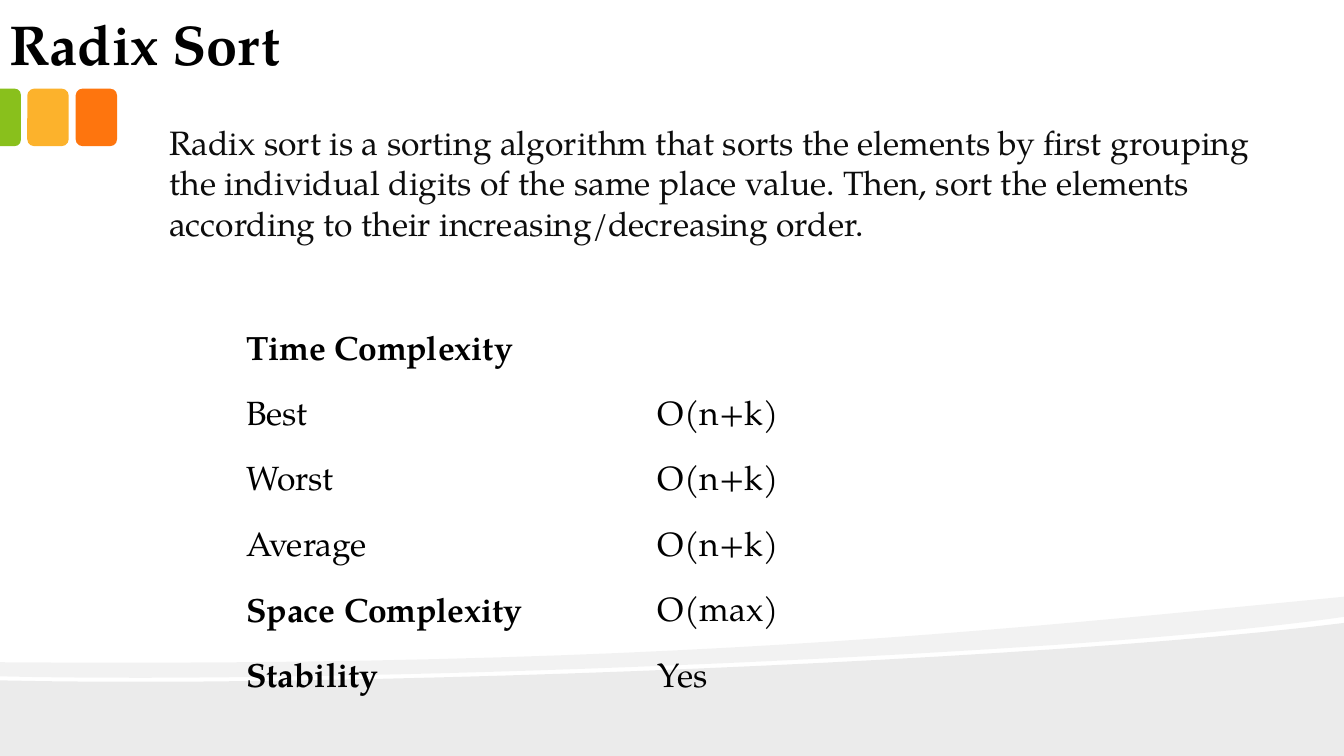
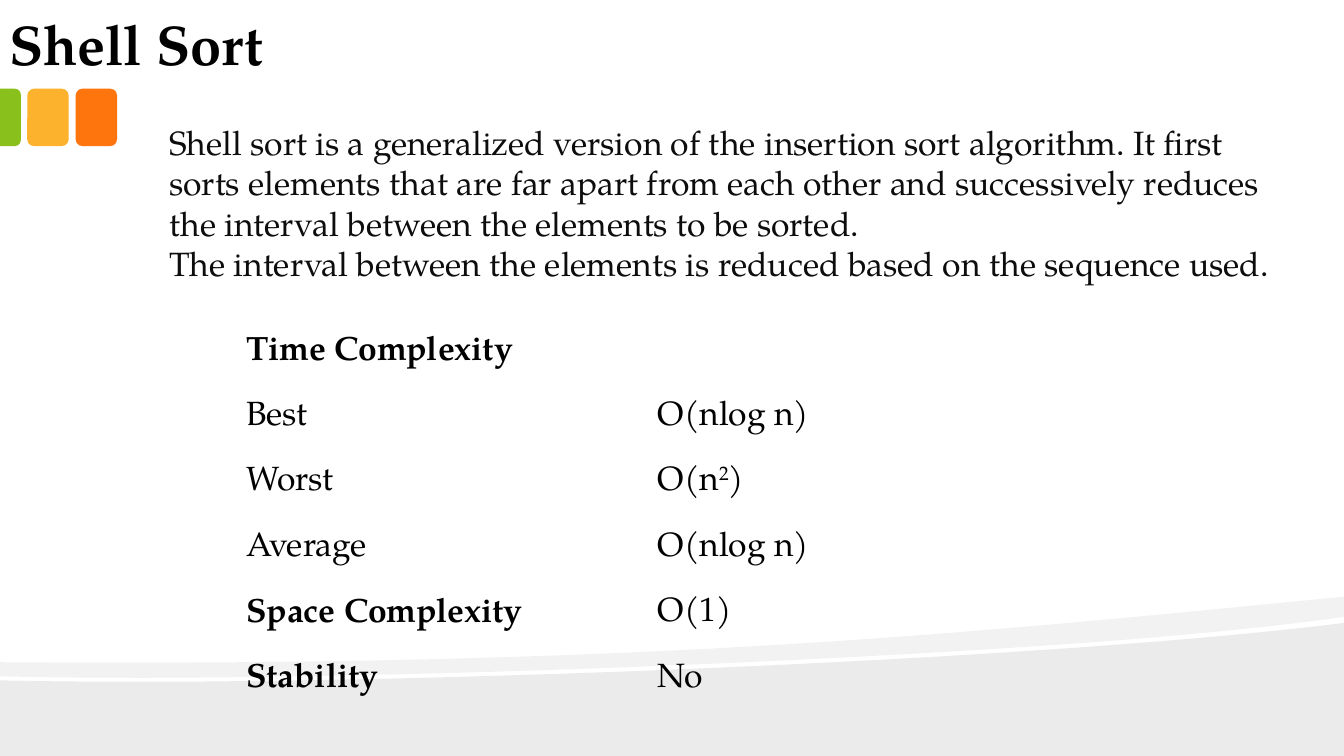
from dataclasses import dataclass

import pptx
import pptx.dml.color
import pptx.enum.shapes
import pptx.enum.text
import pptx.oxml.ns
import pptx.util

RGBColor = pptx.dml.color.RGBColor
MSO_SHAPE = pptx.enum.shapes.MSO_SHAPE
MSO_ANCHOR = pptx.enum.text.MSO_ANCHOR
qn = pptx.oxml.ns.qn
Inches = pptx.util.Inches

WIDTH, HEIGHT = Inches(13.33), Inches(7.5)
FONT = "TeX Gyre Pagella"
BLACK = RGBColor(0x00, 0x00, 0x00)
BODY_INK = RGBColor(0x0D, 0x0D, 0x0D)
ORANGE = RGBColor(0xFE, 0x75, 0x0E)
YELLOW = RGBColor(0xFC, 0xB2, 0x2C)
GREEN = RGBColor(0x89, 0xC0, 0x1C)
NO_STYLE_NO_GRID = "{2D5ABB26-0587-4C30-8999-92F81FD0307C}"
CURVE_STEPS = 24


@dataclass(frozen=True)
class Box:
    """A rectangle in percent of the slide's width and height."""
    x: float
    y: float
    w: float
    h: float

    def emu(self) -> tuple[int, int, int, int]:
        return across(self.x), down(self.y), across(self.w), down(self.h)


@dataclass(frozen=True)
class Run:
    text: str
    bold: bool = False
    superscript: bool = False


@dataclass(frozen=True)
class Wave:
    """An outline in percent: one point is a line, three are a Bezier curve."""
    opacity: int
    start: tuple[float, float]
    segments: tuple[tuple[tuple[float, float], ...], ...]


@dataclass(frozen=True)
class Algorithm:
    title: str
    paragraphs: tuple[str, ...]
    body_height: float
    values: tuple[tuple[Run, ...], ...]


TITLE = Box(-0.3, 0, 77.8, 11.07)
BODY_X, BODY_Y, BODY_W = 11.85, 15.47, 83.57
TABLE_X, TABLE_Y, TABLE_W, ROW_H = 16.43, 42.27, 61.29, 8.67
TILE = Box(2.03, 11.73, 3.08, 7.6)
TILE_PITCH = 3.6
CUT_TILE = Box(0, TILE.y, 1.55, TILE.h)

WAVES = (
    Wave(8, (100, 82.4), (
        ((100, 100),),
        ((0, 100),),
        ((0, 90),),
        ((26.4, 91.07), (78.17, 87.33), (100, 82.4)),
    )),
    Wave(5, (100, 78.93), (
        ((100, 81.6),),
        ((94.15, 83.07), (86.2, 84.4), (77.19, 85.47)),
        ((52.36, 88.4), (19.35, 90.27), (0, 89.47)),
        ((0, 87.6),),
        ((48.91, 88.27), (72.84, 83.6), (100, 78.93)),
    )),
)

LABELS = (
    Run("Time Complexity", bold=True),
    Run("Best"),
    Run("Worst"),
    Run("Average"),
    Run("Space Complexity", bold=True),
    Run("Stability", bold=True),
)

ALGORITHMS = (
    Algorithm(
        "Radix Sort",
        ("Radix sort is a sorting algorithm that sorts the elements by first "
         "grouping the individual digits of the same place value. Then, sort "
         "the elements according to their increasing/decreasing order.",),
        28.27,
        ((), (Run("O(n+k)"),), (Run("O(n+k)"),), (Run("O(n+k)"),),
         (Run("O(max)"),), (Run("Yes"),)),
    ),
    Algorithm(
        "Shell Sort",
        ("Shell sort is a generalized version of the insertion sort algorithm. "
         "It first sorts elements that are far apart from each other and "
         "successively reduces the interval between the elements to be sorted.",
         "The interval between the elements is reduced based on the sequence used."),
        22.93,
        ((), (Run("O(nlog n)"),),
         (Run("O(n"), Run("2", superscript=True), Run(")")),
         (Run("O(nlog n)"),), (Run("O(1)"),), (Run("No"),)),
    ),
)


def across(percent: float) -> int:
    return round(WIDTH * percent / 100)


def down(percent: float) -> int:
    return round(HEIGHT * percent / 100)


def add_runs(p, runs: tuple[Run, ...], size: float, color: RGBColor) -> None:
    for run in runs:
        r = p.add_run()
        r.text = run.text
        r.font.name, r.font.size = FONT, pptx.util.Pt(size)
        r.font.bold = run.bold
        r.font.color.rgb = color
        if run.superscript:
            r.font._element.set("baseline", "30000")


def paint(sp, color: RGBColor) -> None:
    sp.shadow.inherit = False
    sp.fill.solid()
    sp.fill.fore_color.rgb = color
    sp.line.fill.background()


def curve_points(start, c1, c2, end) -> list[tuple[float, float]]:
    points = []
    for step in range(1, CURVE_STEPS + 1):
        t = step / CURVE_STEPS
        weights = ((1 - t) ** 3, 3 * t * (1 - t) ** 2, 3 * t * t * (1 - t), t ** 3)
        points.append(tuple(
            sum(k * q[axis] for k, q in zip(weights, (start, c1, c2, end)))
            for axis in (0, 1)))
    return points


def add_wave(s, wave: Wave) -> None:
    points = [wave.start]
    for segment in wave.segments:
        points += curve_points(points[-1], *segment) if len(segment) == 3 else segment
    outline = [(across(x), down(y)) for x, y in points]
    builder = s.shapes.build_freeform(*outline[0])
    builder.add_line_segments(outline[1:], close=True)
    sp = builder.convert_to_shape()
    paint(sp, BLACK)
    color = sp._element.spPr.find(".//" + qn("a:srgbClr"))
    alpha = color.makeelement(qn("a:alpha"), {"val": str(wave.opacity * 1000)})
    color.append(alpha)


def add_tiles(s) -> None:
    for column, color in ((1, ORANGE), (0, YELLOW)):
        box = Box(TILE.x + column * TILE_PITCH, TILE.y, TILE.w, TILE.h)
        paint(s.shapes.add_shape(MSO_SHAPE.ROUNDED_RECTANGLE, *box.emu()), color)
    x, y, w, h = CUT_TILE.emu()
    # A quarter turn swaps the sides around the same centre.
    sp = s.shapes.add_shape(MSO_SHAPE.ROUND_2_SAME_RECTANGLE,
                            x + (w - h) // 2, y + (h - w) // 2, h, w)
    sp.rotation = 90
    sp.adjustments[0], sp.adjustments[1] = 0.29, 0
    paint(sp, GREEN)


def add_title(s, title: str) -> None:
    tf = s.shapes.add_textbox(*TITLE.emu()).text_frame
    tf.word_wrap = True
    tf.vertical_anchor = MSO_ANCHOR.BOTTOM
    tf.margin_left = tf.margin_right = Inches(0.13)
    tf.margin_top = tf.margin_bottom = Inches(0.07)
    add_runs(tf.paragraphs[0], (Run(title, bold=True),), 40, BLACK)


def add_body(s, paragraphs: tuple[str, ...], height: float) -> None:
    tf = s.shapes.add_textbox(*Box(BODY_X, BODY_Y, BODY_W, height).emu()).text_frame
    tf.word_wrap = True
    for i, text in enumerate(paragraphs):
        p = tf.add_paragraph() if i else tf.paragraphs[0]
        add_runs(p, (Run(text),), 24, BODY_INK)


def add_complexity_table(s, values: tuple[tuple[Run, ...], ...]) -> None:
    rows = len(LABELS)
    box = Box(TABLE_X, TABLE_Y, TABLE_W, rows * ROW_H)
    table = s.shapes.add_table(rows, 2, *box.emu()).table
    table.first_row = table.horz_banding = False
    table._tbl.tblPr.find(qn("a:tableStyleId")).text = NO_STYLE_NO_GRID
    for row, (label, value) in enumerate(zip(LABELS, values)):
        table.rows[row].height = down(ROW_H)
        for column, runs in enumerate(((label,), value)):
            cell = table.cell(row, column)
            cell.fill.background()
            cell.vertical_anchor = MSO_ANCHOR.MIDDLE
            cell.margin_left = cell.margin_right = Inches(0.25)
            cell.margin_top = cell.margin_bottom = Inches(0.12)
            add_runs(cell.text_frame.paragraphs[0], runs, 24, BLACK)


def add_algorithm_slide(prs, algorithm: Algorithm) -> None:
    s = prs.slides.add_slide(prs.slide_layouts[6])
    for wave in WAVES:
        add_wave(s, wave)
    add_tiles(s)
    add_title(s, algorithm.title)
    add_body(s, algorithm.paragraphs, algorithm.body_height)
    add_complexity_table(s, algorithm.values)


def main() -> None:
    prs = pptx.Presentation()
    prs.slide_width, prs.slide_height = WIDTH, HEIGHT
    for algorithm in ALGORITHMS:
        add_algorithm_slide(prs, algorithm)
    prs.save("out.pptx")


if __name__ == "__main__":
    main()
